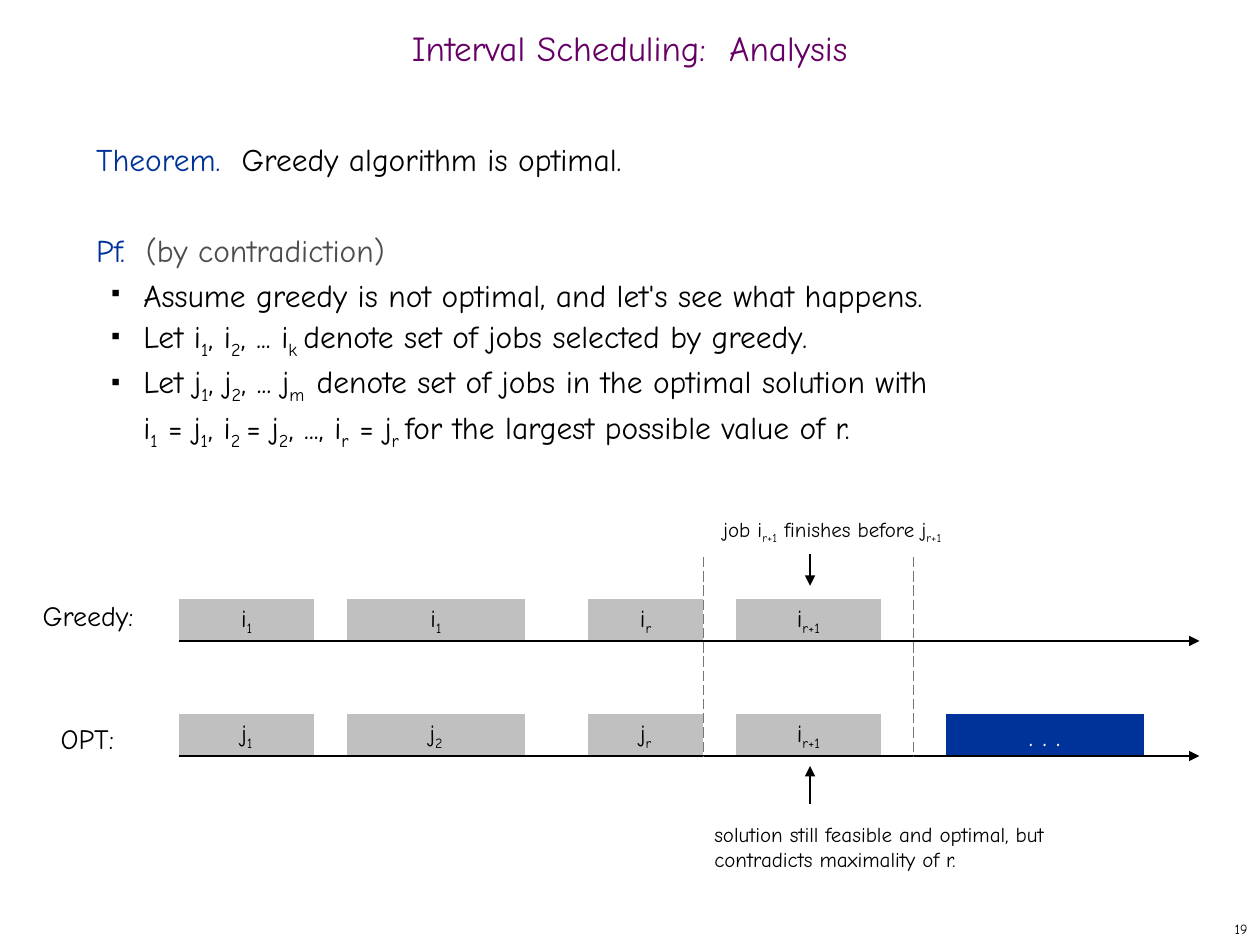
from lxml import etree
from pptx import Presentation
from pptx import util as u
from pptx.dml.color import RGBColor
from pptx.enum import dml, shapes, text
from pptx.oxml.ns import qn

Cm, Pt = u.Cm, u.Pt
FONT = "Comic Neue"
HUES = {"ink": "000000", "title": "660066", "blue": "003399", "soft": "4D4D4D",
        "bar": "C0C0C0", "dash": "777777", "white": "FFFFFF"}
LEFT, MID, RIGHT = text.PP_ALIGN.LEFT, text.PP_ALIGN.CENTER, text.PP_ALIGN.RIGHT

# Job columns: left offset and width in the timeline
COLS = [(0, 2.75), (3.39, 3.6), (8.25, 2.33), (11.22, 2.96)]
BAR = 0.85


def hue(name):
    return RGBColor.from_string(HUES[name])


def style(par, size, color="ink", align=LEFT):
    par.alignment = align
    par.font.name = FONT
    par.font.size = Pt(size)
    par.font.color.rgb = hue(color)


def write(par, words):
    """Add runs; every second part between bars is a subscript."""
    for n, part in enumerate(words.split("|")):
        if not part:
            continue
        for k, line in enumerate(part.split("\n")):
            if k:
                par.add_line_break()
            run = par.add_run()
            run.text = line
            if n % 2:
                run._r.get_or_add_rPr().set("baseline", "-25000")


def label(slide, box, words, size, color="ink", align=LEFT, wrap=True, inset=True):
    frame = slide.shapes.add_textbox(*map(Cm, box)).text_frame
    frame.word_wrap = wrap
    if inset:
        frame.vertical_anchor = text.MSO_ANCHOR.MIDDLE
    else:
        frame.margin_left = frame.margin_right = 0
        frame.margin_top = frame.margin_bottom = 0
    par = frame.paragraphs[0]
    style(par, size, color, align)
    write(par, words)
    return par


def rule(slide, start, end, width, color="ink", arrow=True):
    """Draw a straight arrow, or a dashed line without a head."""
    line = slide.shapes.add_connector(
        shapes.MSO_CONNECTOR.STRAIGHT, *map(Cm, start + end))
    line.line.width = Pt(width)
    line.line.color.rgb = hue(color)
    if arrow:
        etree.SubElement(line.line._get_or_add_ln(), qn("a:tailEnd"), type="triangle")
    else:
        line.line.dash_style = dml.MSO_LINE.LONG_DASH
    etree.SubElement(line._element.spPr, qn("a:effectLst"))


def block(slide, box, words, fill="bar", color="ink", size=14):
    rect = slide.shapes.add_shape(shapes.MSO_SHAPE.RECTANGLE, *map(Cm, box))
    rect.shadow.inherit = False
    rect.fill.solid()
    rect.fill.fore_color.rgb = hue(fill)
    rect.line.color.rgb = hue("white")
    rect.line.width = Pt(0.75)
    frame = rect.text_frame
    frame.word_wrap = False
    frame.vertical_anchor = text.MSO_ANCHOR.MIDDLE
    style(frame.paragraphs[0], size, color, MID)
    write(frame.paragraphs[0], words)


def bullet(par):
    props = par._p.get_or_add_pPr()
    props.set("marL", str(Cm(0.95)))
    props.set("indent", str(Cm(-0.64)))
    tint = etree.SubElement(props, qn("a:buClr"))
    etree.SubElement(tint, qn("a:srgbClr"), val=HUES["ink"])
    etree.SubElement(props, qn("a:buSzPct"), val="35000")
    etree.SubElement(props, qn("a:buChar"), char="■")


def proof(slide, box):
    frame = slide.shapes.add_textbox(*map(Cm, box)).text_frame
    frame.word_wrap = True
    heads = [("Theorem.  ", "Greedy algorithm is optimal.", "ink"),
             ("Pf.  ", "(by contradiction)", "soft")]
    steps = ["Assume greedy is not optimal, and let's see what happens.",
             "Let i|1|, i|2|, ... i|k |denote set of jobs selected by greedy.",
             "Let j|1|, j|2|, ... j|m  |denote set of jobs in the optimal solution with\n"
             "i|1| = j|1|, i|2 |= j|2|, ..., i|r| = j|r |for the largest possible value of r."]
    for n, item in enumerate(heads + steps):
        par = frame.add_paragraph() if n else frame.paragraphs[0]
        par.line_spacing = Pt(26)
        if item in heads:
            lead, rest, color = item
            if n:
                par.space_before = Pt(26)
            style(par, 18, color)
            write(par, lead + "||" + rest)
            par.runs[0].font.color.rgb = hue("blue")
        else:
            bullet(par)
            style(par, 18)
            write(par, item)


def track(slide, box, jobs):
    """Place one row of jobs above its time axis."""
    left, top, width, high = box
    for (shift, span), job in zip(COLS, jobs):
        block(slide, (left + shift, top, span, high), job)
    base = top + high
    rule(slide, (left, base), (left + width, base), 1)


def chart(slide, box):
    left, top, width, high = box
    low = top + high - BAR
    track(slide, (left, top, width, BAR), ["i|1", "i|1", "i|r", "i|r+1"])
    block(slide, (left + 15.45, low, 4.02, BAR), ". . .", "blue", "white", 16)
    track(slide, (left, low, width, BAR), ["j|1", "j|2", "j|r", "i|r+1"])
    label(slide, (left - 3.12, top - 0.18, 2.59, 1.04), "Greedy:", 16, align=MID, wrap=False)
    label(slide, (left - 2.74, low - 0.02, 1.8, 1.04), "OPT:", 16, align=MID, wrap=False)
    for shift in (10.58, 14.82):
        rule(slide, (left + shift, top - 0.84), (left + shift, top + high),
             0.75, "dash", False)


def notes(slide, box):
    """Explain the last job from above and below."""
    left, top, width, high = box
    label(slide, (left + 0.18, top, 5.94, 0.58),
          "job i|r+1| finishes before j|r+1", 12, inset=False)
    label(slide, (left, top + high - 1.19, width, 1.19),
          "solution still feasible and optimal, but contradicts maximality of r.",
          12, inset=False)
    mid = left + 1.93
    rule(slide, (mid, top + 0.76), (mid, top + 1.4), 1.25)
    rule(slide, (mid, top + 5.79), (mid, top + 5.03), 1.25)


def main():
    deck = Presentation()
    deck.slide_width, deck.slide_height = Cm(25.4), Cm(19.05)
    slide = deck.slides.add_slide(deck.slide_layouts[6])
    title = label(slide, (0, 0.43, 25.4, 1.27), "Interval Scheduling:  Analysis",
                  20, "title", MID)
    title.line_spacing = 0.7
    proof(slide, (1.69, 2.54, 21.8, 15.04))
    chart(slide, (3.6, 12.07, 20.58, 3.17))
    notes(slide, (14.4, 10.41, 7.21, 7.34))
    label(slide, (20.12, 18.42, 5.28, 0.63), "19", 8, align=RIGHT, wrap=False)
    deck.save("out.pptx")


if __name__ == "__main__":
    main()
